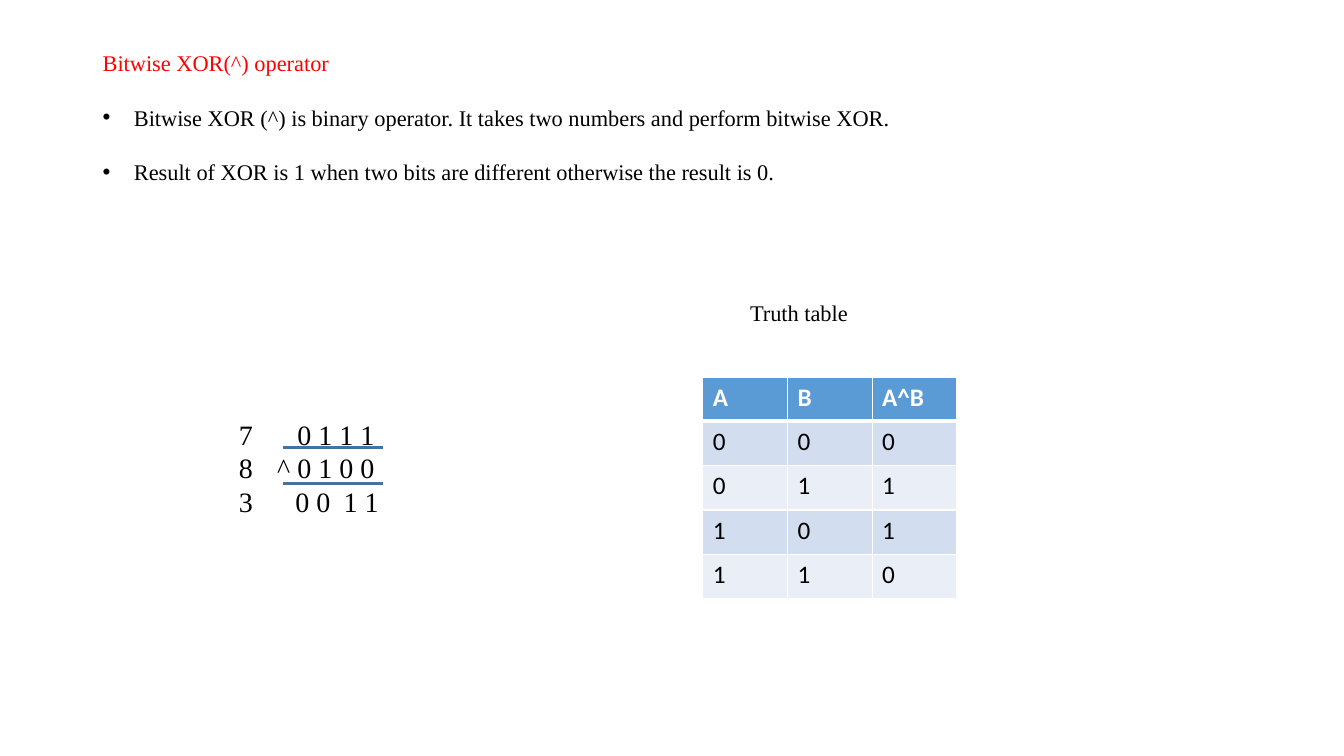
from dataclasses import dataclass
from lxml import etree
from pptx import Presentation
from pptx import util as u
from pptx.dml.color import RGBColor
from pptx.enum import shapes
from pptx.oxml.ns import qn

HEADING = "Bitwise XOR(^) operator"
POINTS = [
    "Bitwise XOR (^) is binary operator. It takes two numbers and perform bitwise XOR.",
    "Result of XOR is 1 when two bits are different otherwise the result is 0.",
]
TABLE_TITLE = "Truth table"
TRUTH = [("A", "B", "A^B")] + [
    (str(a), str(b), str(a ^ b)) for a in (0, 1) for b in (0, 1)
]
OPERANDS = [(7, "0 1 1 1", 0.58), (8, "^ 0 1 0 0", 0.38)]
RESULT = "3\t0 0\t1 1"
RESULT_TABS = (0.56, 1.04)


@dataclass(frozen=True)
class Theme:
    serif: str = "Times New Roman"
    sans: str = "Calibri"
    body: int = 16
    cell: int = 18
    sum: int = 20
    red: str = "FF0000"
    black: str = "000000"
    white: str = "FFFFFF"
    header: str = "5B9BD5"
    bands: tuple = ("D2DEEF", "EAEFF7")
    rule: str = "43739E"


T = Theme()
W, H = 13.33, 7.5
COL, ROW = 0.84, 0.44
TABLE_LEFT, TABLE_TOP = 6.97, 3.74
RULE_LEFT, RULE_WIDTH = 2.81, 0.99
RULE_TOP, RULE_STEP = 4.44, 0.36


def rgb(value):
    return RGBColor.from_string(value)


def add_box(s, left, top, width, height):
    tf = s.shapes.add_textbox(*map(u.Inches, (left, top, width, height))).text_frame
    tf.word_wrap = True
    return tf


def add_run(p, words, size, color=T.black, font=T.serif, bold=False):
    r = p.add_run()
    r.text = words
    r.font.name, r.font.size, r.font.bold = font, u.Pt(size), bold
    r.font.color.rgb = rgb(color)


def set_marker(p, indent, tag, **attrs):
    pPr = p._p.get_or_add_pPr()
    pPr.set("marL", str(u.Inches(indent)))
    pPr.set("indent", str(-u.Inches(indent)))
    if tag == "a:buChar":
        etree.SubElement(pPr, qn("a:buFont"), typeface="Arial")
    etree.SubElement(pPr, qn(tag), **attrs)


def set_tabs(p, stops):
    tabs = etree.SubElement(p._p.get_or_add_pPr(), qn("a:tabLst"))
    for stop in stops:
        etree.SubElement(tabs, qn("a:tab"), pos=str(u.Inches(stop)), algn="l")


def set_borders(cell, widths):
    tcPr = cell._tc.get_or_add_tcPr()
    for side, width in zip("LRTB", widths):
        ln = etree.SubElement(tcPr, qn(f"a:ln{side}"), w=str(u.Pt(width)))
        fill = etree.SubElement(ln, qn("a:solidFill"))
        etree.SubElement(fill, qn("a:srgbClr"), val=T.white)


def add_explanation(s):
    tf = add_box(s, 0.92, 0.31, 11.5, 6.45)
    for i, words in enumerate([HEADING] + POINTS):
        p = tf.add_paragraph() if i else tf.paragraphs[0]
        p.line_spacing = 1.5
        if i:
            p.space_before = u.Pt(10)
            set_marker(p, 0.31, "a:buChar", char="•")
        add_run(p, words, T.body, T.black if i else T.red)


def add_truth_table(s):
    rows, cols = len(TRUTH), len(TRUTH[0])
    frame = s.shapes.add_table(
        rows, cols, *map(u.Inches, (TABLE_LEFT, TABLE_TOP, COL * cols, ROW * rows))
    )
    for i, values in enumerate(TRUTH):
        for j, value in enumerate(values):
            cell = frame.table.cell(i, j)
            set_borders(cell, (1, 1, 3 if i == 1 else 1, 1 if i else 3))
            cell.fill.solid()
            cell.fill.fore_color.rgb = rgb(T.bands[(i - 1) % 2] if i else T.header)
            add_run(cell.text_frame.paragraphs[0], value, T.cell,
                    T.black if i else T.white, T.sans, i == 0)
    title = add_box(s, 7.34, 2.92, 1.95, 0.37)
    add_run(title.paragraphs[0], TABLE_TITLE, T.body)


def add_calculation(s):
    tf = add_box(s, 2.27, 4.09, 2.41, 1.1)
    for i, (number, bits, indent) in enumerate(OPERANDS):
        p = tf.add_paragraph() if i else tf.paragraphs[0]
        set_marker(p, indent, "a:buAutoNum", type="arabicPlain", startAt=str(number))
        add_run(p, bits, T.sum)
    p = tf.add_paragraph()
    set_tabs(p, RESULT_TABS)
    add_run(p, RESULT, T.sum)
    for i in range(len(OPERANDS)):
        y = RULE_TOP + i * RULE_STEP
        line = s.shapes.add_connector(
            shapes.MSO_CONNECTOR.STRAIGHT,
            *map(u.Inches, (RULE_LEFT, y, RULE_LEFT + RULE_WIDTH, y))
        )
        line.line.color.rgb = rgb(T.rule)
        line.line.width = u.Pt(2.25)
        etree.SubElement(line._element.spPr, qn("a:effectLst"))


def main():
    prs = Presentation()
    prs.slide_width, prs.slide_height = u.Inches(W), u.Inches(H)
    s = prs.slides.add_slide(prs.slide_layouts[6])
    add_explanation(s)
    add_truth_table(s)
    add_calculation(s)
    prs.save("out.pptx")


if __name__ == "__main__":
    main()
